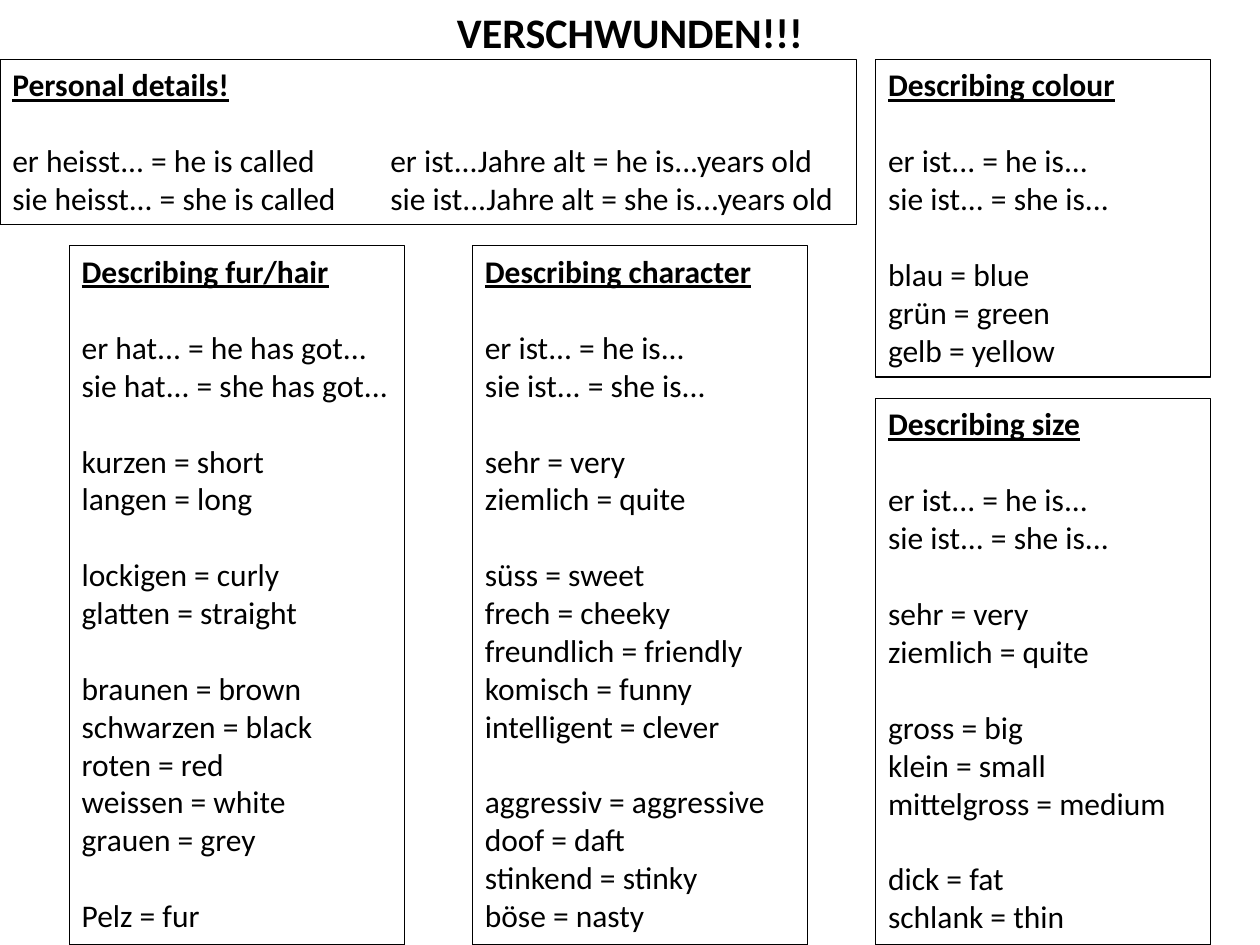
"""Build a German vocabulary sheet for describing a missing person or pet."""
from dataclasses import dataclass

import pptx
import pptx.dml.color
import pptx.enum.text
import pptx.util
from lxml import etree

COLOURS = {"ink": "000000"}
FONT = "Calibri"
SLIDE_WIDTH = pptx.util.Inches(10)
SLIDE_HEIGHT = pptx.util.Inches(7.5)
LINE_HEIGHT = pptx.util.Pt(21.8)
PADDING = pptx.util.Inches(0.1)
UPPER_EDGE = pptx.util.Inches(0.47)
TAB_STOP = pptx.util.Inches(3)
FIRST_COLUMN, COLUMN_STEP, COLUMN_WIDTH = 0.055, 0.32, 0.266


@dataclass(frozen=True)
class Panel:
    """A bordered word list, with its left edge and width as shares of the slide."""

    heading: str
    groups: tuple[tuple[str, ...], ...]
    left: float
    width: float = COLUMN_WIDTH
    on_bottom: bool = False

    @property
    def height(self) -> int:
        """Return the height of the heading, word groups and gaps."""
        rows = 1 + sum(len(group) + 1 for group in self.groups)
        return rows * LINE_HEIGHT + PADDING

    @property
    def top(self) -> int:
        """Return the top edge, measured from the slide's foot if it stands there."""
        return SLIDE_HEIGHT - self.height if self.on_bottom else UPPER_EDGE


def column(index: int) -> float:
    """Return the left edge of a column as a share of the slide."""
    return FIRST_COLUMN + index * COLUMN_STEP


IS_PHRASES = ("er ist... = he is...", "sie ist... = she is...")
DEGREES = ("sehr = very", "ziemlich = quite")
PANELS = (
    Panel("Describing size", (
        IS_PHRASES,
        DEGREES,
        ("gross = big", "klein = small", "mittelgross = medium"),
        ("dick = fat", "schlank = thin"),
    ), column(2), on_bottom=True),
    Panel("Describing fur/hair", (
        ("er hat... = he has got...", "sie hat... = she has got..."),
        ("kurzen = short", "langen = long"),
        ("lockigen = curly", "glatten = straight"),
        ("braunen = brown", "schwarzen = black", "roten = red",
         "weissen = white", "grauen = grey"),
        ("Pelz = fur",),
    ), column(0), on_bottom=True),
    Panel("Describing colour", (
        IS_PHRASES,
        ("blau = blue", "grün = green", "gelb = yellow"),
    ), column(2)),
    Panel("Describing character", (
        IS_PHRASES,
        DEGREES,
        ("süss = sweet", "frech = cheeky", "freundlich = friendly",
         "komisch = funny", "intelligent = clever"),
        ("aggressiv = aggressive", "doof = daft", "stinkend = stinky",
         "böse = nasty"),
    ), column(1), on_bottom=True),
    Panel("Personal details!", (
        ("er heisst... = he is called\ter ist...Jahre alt = he is...years old",
         "sie heisst... = she is called\tsie ist...Jahre alt = she is...years old"),
    ), 0, width=0.68),
)


def style(paragraph, size: int, bold: bool = False, underline: bool = False) -> None:
    """Format every run of a paragraph."""
    for run in paragraph.runs:
        run.font.name = FONT
        run.font.size = pptx.util.Pt(size)
        run.font.bold = bold
        run.font.underline = underline
        run.font.color.rgb = pptx.dml.color.RGBColor.from_string(COLOURS["ink"])


def add_tab_stop(paragraph) -> None:
    """Place the second phrase of a line at the tab stop."""
    properties = paragraph._p.get_or_add_pPr()
    stops = etree.SubElement(properties, pptx.oxml.ns.qn("a:tabLst"))
    etree.SubElement(stops, pptx.oxml.ns.qn("a:tab"), pos=str(TAB_STOP), algn="l")


def draw_title(slide, wording: str) -> None:
    """Draw the centred title across the slide."""
    title = slide.shapes.add_textbox(0, 0, SLIDE_WIDTH, pptx.util.Inches(0.5))
    title.text_frame.word_wrap = True
    title.text_frame.text = wording
    line = title.text_frame.paragraphs[0]
    line.alignment = pptx.enum.text.PP_ALIGN.CENTER
    style(line, 24, bold=True)


def draw_panel(slide, panel: Panel) -> None:
    """Draw one bordered word list."""
    box = slide.shapes.add_textbox(
        round(panel.left * SLIDE_WIDTH), panel.top,
        round(panel.width * SLIDE_WIDTH), panel.height)
    box.line.color.rgb = pptx.dml.color.RGBColor.from_string(COLOURS["ink"])
    box.line.width = pptx.util.Pt(0.75)
    frame = box.text_frame
    frame.word_wrap = True
    frame.text = panel.heading
    style(frame.paragraphs[0], 18, bold=True, underline=True)
    for group in panel.groups:
        for position, phrase in enumerate(group):
            entry = frame.add_paragraph()
            entry.text = phrase
            if position == 0:
                entry.space_before = LINE_HEIGHT
            if "\t" in phrase:
                add_tab_stop(entry)
            style(entry, 18)


def main() -> None:
    """Build and save the sheet."""
    presentation = pptx.Presentation()
    presentation.slide_width = SLIDE_WIDTH
    presentation.slide_height = SLIDE_HEIGHT
    slide = presentation.slides.add_slide(presentation.slide_layouts[6])
    draw_title(slide, "VERSCHWUNDEN!!!")
    for panel in PANELS:
        draw_panel(slide, panel)
    presentation.save("out.pptx")


if __name__ == "__main__":
    main()
